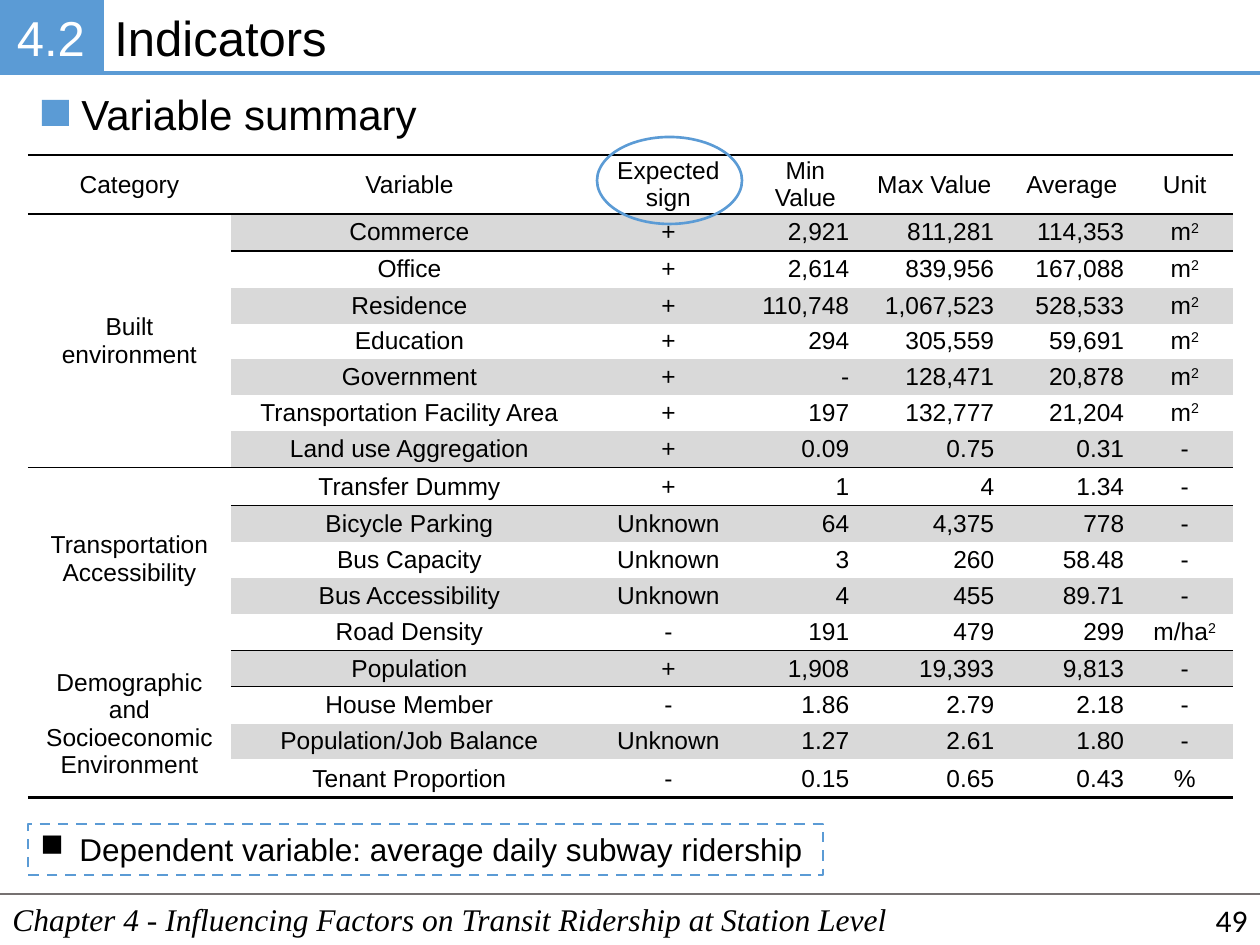
from lxml.etree import SubElement
from pptx import Presentation
from pptx.dml.color import RGBColor
from pptx.enum.dml import MSO_LINE
from pptx.enum.shapes import MSO_CONNECTOR, MSO_SHAPE
from pptx.enum.text import MSO_ANCHOR, PP_ALIGN
from pptx.oxml import parse_xml
from pptx.oxml.ns import nsdecls, qn
from pptx.util import Inches, Pt

PX = Inches(1) // 126
BLUE = RGBColor(0x5B, 0x9B, 0xD5)
GRAY = RGBColor(0x76, 0x71, 0x71)
BAND = RGBColor(0xD9, 0xD9, 0xD9)
BLACK = RGBColor(0, 0, 0)
WHITE = RGBColor(255, 255, 255)


def write(frame, text, size=14, font="Arial", color=BLACK, align=PP_ALIGN.LEFT,
          italic=None, bullet=None, wrap=True, anchor=MSO_ANCHOR.TOP):
    frame.word_wrap = wrap
    frame.vertical_anchor = anchor
    paragraph = frame.paragraphs[0]
    paragraph.alignment = align
    if bullet:
        properties = paragraph._p.get_or_add_pPr()
        properties.set("marL", str(39 * PX))
        properties.set("indent", str(-39 * PX))
        SubElement(properties, qn("a:buChar")).set("char", bullet)
    base, _, exponent = text.partition("^")
    for part in filter(None, (base, exponent)):
        run = paragraph.add_run()
        run.text = part
        run.font.size = Pt(size)
        run.font.name = font
        run.font.color.rgb = color
        run.font.italic = italic
    if exponent:
        run.font._element.set("baseline", "30000")


def add_box(shapes, kind, left, top, width, height, fill=None, line=None, weight=1.5):
    shape = shapes.add_shape(kind, left * PX, top * PX, width * PX, height * PX)
    shape.shadow.inherit = False
    if fill:
        shape.fill.solid()
        shape.fill.fore_color.rgb = fill
    else:
        shape.fill.background()
    if line:
        shape.line.color.rgb = line
        shape.line.width = Pt(weight)
    else:
        shape.line.fill.background()
    return shape


presentation = Presentation()
presentation.slide_width = 1260 * PX
presentation.slide_height = 945 * PX
slide = presentation.slides.add_slide(presentation.slide_layouts[6])
shapes = slide.shapes

for left, top, color, weight in ((0, 894, GRAY, 1), (102, 73, BLUE, 2.25)):
    rule = shapes.add_connector(MSO_CONNECTOR.STRAIGHT, left * PX, top * PX, 1260 * PX, top * PX)
    rule.line.color.rgb = color
    rule.line.width = Pt(weight)
    SubElement(rule._element.spPr, qn("a:effectLst"))

title = shapes.add_textbox(102 * PX, 1 * PX, 1158 * PX, 72 * PX)
write(title.text_frame, "Indicators", size=28)

section = add_box(shapes, MSO_SHAPE.RECTANGLE, 0, 0, 102, 73, fill=BLUE, line=BLUE, weight=2.25)
frame = section.text_frame
frame.margin_left = frame.margin_right = frame.margin_top = frame.margin_bottom = 8 * PX
write(frame, "4.2", size=28, color=WHITE, align=PP_ALIGN.CENTER, anchor=MSO_ANCHOR.MIDDLE)

footer = shapes.add_textbox(0, 894 * PX, 1260 * PX, 51 * PX)
write(footer.text_frame, "Chapter 4 - Influencing Factors on Transit Ridership at Station Level",
      size=18, font="Times New Roman", italic=True)

page_number = shapes.add_textbox(976 * PX, 895 * PX, 284 * PX, 50 * PX)
write(page_number.text_frame, "49", size=18, font="Calibri", align=PP_ALIGN.RIGHT,
      anchor=MSO_ANCHOR.MIDDLE)

rows = [
    ("Category", "Variable", "Expected sign", "Min Value", "Max Value", "Average", "Unit"),
    ("Built environment", "Commerce", "+", "2,921", "811,281", "114,353", "m^2"),
    ("", "Office", "+", "2,614", "839,956", "167,088", "m^2"),
    ("", "Residence", "+", "110,748", "1,067,523", "528,533", "m^2"),
    ("", "Education", "+", "294", "305,559", "59,691", "m^2"),
    ("", "Government", "+", "-", "128,471", "20,878", "m^2"),
    ("", "Transportation Facility Area", "+", "197", "132,777", "21,204", "m^2"),
    ("", "Land use Aggregation", "+", "0.09", "0.75", "0.31", "-"),
    ("Transportation Accessibility", "Transfer Dummy", "+", "1", "4", "1.34", "-"),
    ("", "Bicycle Parking", "Unknown", "64", "4,375", "778", "-"),
    ("", "Bus Capacity", "Unknown", "3", "260", "58.48", "-"),
    ("", "Bus Accessibility", "Unknown", "4", "455", "89.71", "-"),
    ("", "Road Density", "-", "191", "479", "299", "m/ha^2"),
    ("Demographic and Socioeconomic Environment", "Population", "+", "1,908", "19,393", "9,813", "-"),
    ("", "House Member", "-", "1.86", "2.79", "2.18", "-"),
    ("", "Population/Job Balance", "Unknown", "1.27", "2.61", "1.80", "-"),
    ("", "Tenant Proportion", "-", "0.15", "0.65", "0.43", "%"),
]
column_widths = (203, 357, 161, 113, 145, 130, 96)
row_heights = (59, 37, 37, 36, 35, 36, 36, 37, 38, 36, 36, 36, 37, 36, 37, 36, 38)
last_row = len(rows) - 1
group_ends = (7, 12)

table = shapes.add_table(len(rows), len(column_widths), 28 * PX, 155 * PX,
                         sum(column_widths) * PX, sum(row_heights) * PX).table
table.first_row = False
table.horz_banding = False
table._tbl.tblPr.find(qn("a:tableStyleId")).text = "{2D5ABB26-0587-4C30-8999-92F81FD0307C}"
for column, width in zip(table.columns, column_widths):
    column.width = width * PX
for row, height in zip(table.rows, row_heights):
    row.height = height * PX
for first, last in ((1, 7), (8, 12), (13, 16)):
    table.cell(first, 0).merge(table.cell(last, 0))

for row_index, values in enumerate(rows):
    for column_index, text in enumerate(values):
        cell = table.cell(row_index, column_index)
        cell.margin_top = cell.margin_bottom = 0
        cell.vertical_anchor = MSO_ANCHOR.MIDDLE
        if text:
            numeric = row_index > 0 and column_index in (3, 4, 5)
            write(cell.text_frame, text, align=PP_ALIGN.RIGHT if numeric else PP_ALIGN.CENTER)
        if row_index % 2 and column_index:
            cell.fill.solid()
            cell.fill.fore_color.rgb = BAND
        else:
            cell.fill.background()
        borders = {}
        if row_index == 0:
            borders["lnT"] = 1.5
        if row_index == 1 or (column_index and row_index - 1 in group_ends):
            borders["lnT"] = 1
        if row_index == 0 or (column_index and row_index in group_ends):
            borders["lnB"] = 1
        if row_index == last_row or (column_index == 0 and row_index == 13):
            borders["lnB"] = 1.5
        properties = cell._tc.get_or_add_tcPr()
        for position, (side, weight) in enumerate(borders.items()):
            properties.insert(position, parse_xml(
                f'<a:{side} {nsdecls("a")} w="{Pt(weight)}"><a:solidFill>'
                f'<a:srgbClr val="{BLACK}"/></a:solidFill></a:{side}>'))

dependent = add_box(shapes, MSO_SHAPE.RECTANGLE, 28, 824, 795, 51, line=BLUE)
dependent.line.dash_style = MSO_LINE.DASH
write(dependent.text_frame, "Dependent variable: average daily subway ridership",
      size=18, bullet="■", wrap=False)

heading = shapes.add_group_shape()
add_box(heading.shapes, MSO_SHAPE.RECTANGLE, 42, 100, 27, 26, fill=BLUE)
heading_text = heading.shapes.add_textbox(69 * PX, 82 * PX, 373 * PX, 63 * PX)
write(heading_text.text_frame, "Variable summary", size=24, wrap=False)

add_box(shapes, MSO_SHAPE.OVAL, 597, 137, 145, 87, line=BLUE)

presentation.save("out.pptx")
